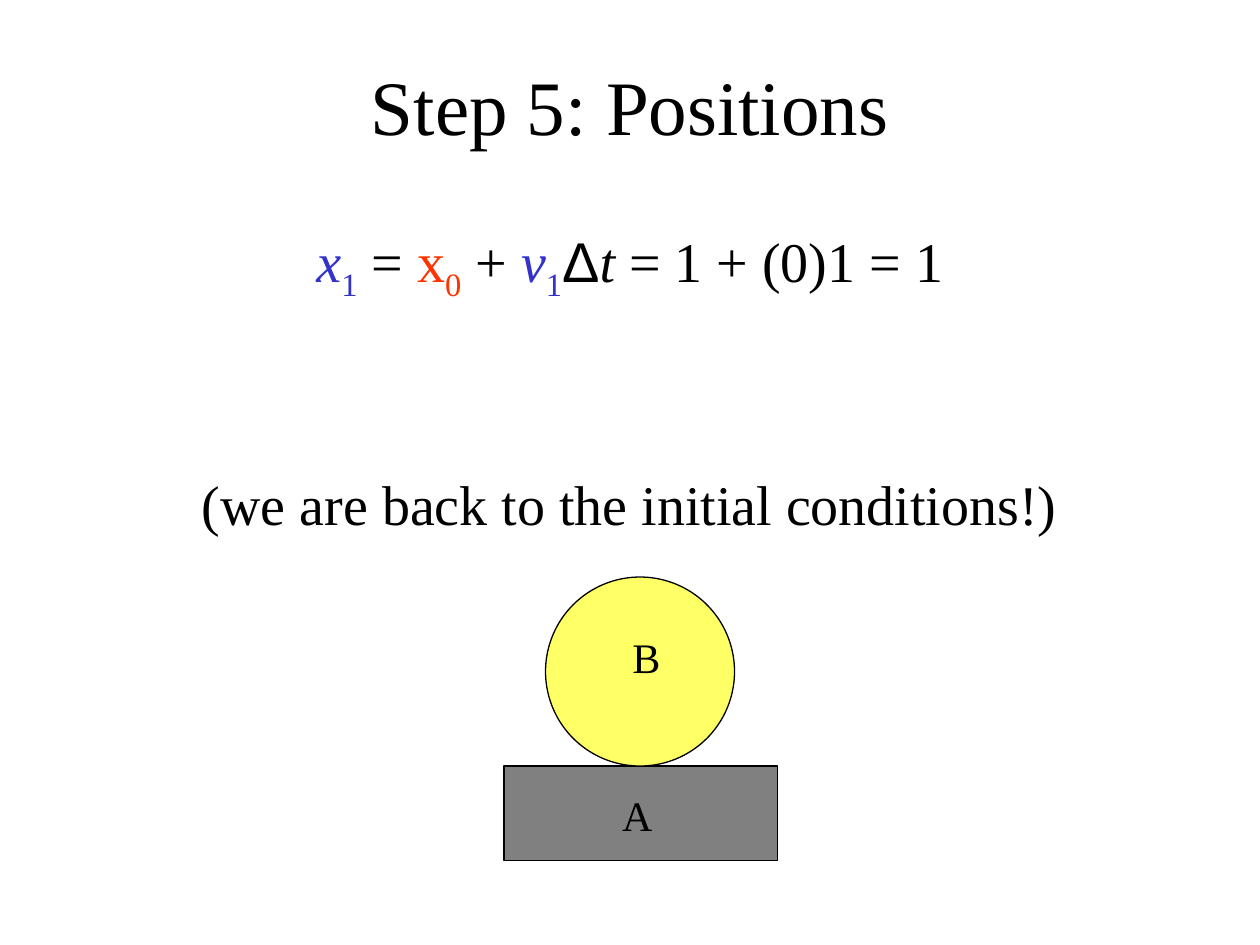
from pptx import Presentation
from pptx.dml.color import RGBColor
from pptx.enum.shapes import MSO_SHAPE
from pptx.enum.text import MSO_ANCHOR, MSO_AUTO_SIZE, PP_ALIGN
from pptx.util import Inches, Pt

CENTER = PP_ALIGN.CENTER
MIDDLE = MSO_ANCHOR.MIDDLE
NO_FIT = MSO_AUTO_SIZE.NONE
RECT, OVAL = MSO_SHAPE.RECTANGLE, MSO_SHAPE.OVAL
SERIF = "Times New Roman"
BLACK, BLUE, RED = "000000", "3333CC", "FF3300"


def color(code):
    return RGBColor.from_string(code)


def style(run, size, code=BLACK, face=SERIF):
    run.font.size = Pt(size)
    run.font.name = face
    run.font.color.rgb = color(code)


deck = Presentation()
deck.slide_width, deck.slide_height = Inches(10), Inches(7.5)
slide = deck.slides.add_slide(deck.slide_layouts[5])

# Title
title = slide.shapes.title
title.left, title.top = Inches(0.75), Inches(0.25)
title.width, title.height = Inches(8.5), Inches(1.25)
frame = title.text_frame
frame.text = "Step 5: Positions"
frame.auto_size = NO_FIT
frame.vertical_anchor = MIDDLE
head = frame.paragraphs[0]
head.alignment = CENTER
head.line_spacing = 0.93
style(head.runs[0], 44)

# Equation: text, colour, italic, subscript, font
parts = [
    ("x", BLUE, True, False, SERIF),
    ("1", BLUE, False, True, SERIF),
    (" = ", BLACK, False, False, SERIF),
    ("x", RED, False, False, SERIF),
    ("0", RED, False, True, SERIF),
    (" + ", BLACK, False, False, SERIF),
    ("v", BLUE, True, False, SERIF),
    ("1", BLUE, False, True, SERIF),
    ("Δ", BLACK, False, False, "Arial"),
    ("t", BLACK, True, False, SERIF),
    (" = 1 + (0)1 = 1", BLACK, False, False, SERIF),
]
body = slide.shapes.add_textbox(Inches(0.75), Inches(1.75), Inches(8.5), Inches(4.83))
frame = body.text_frame
frame.word_wrap = True
line = frame.paragraphs[0]
line.alignment = CENTER
line.line_spacing = 0.93
line.space_before = Pt(8)
for text, code, slant, sub, face in parts:
    run = line.add_run()
    run.text = text
    style(run, 32, code, face)
    run.font.italic = slant
    if sub:
        run.font._element.set("baseline", "-25000")

# Remark below the equation
note = frame.add_paragraph()
note.text = "(we are back to the initial conditions!)"
note.alignment = CENTER
note.space_before = Pt(98)
style(note.runs[0], 32)

# Block and ball
for kind, x, y, wide, high, fill in [
    (RECT, 4, 6.08, 2.17, 0.75, "808080"),
    (OVAL, 4.33, 4.58, 1.5, 1.5, "FFFF66"),
]:
    body = slide.shapes.add_shape(kind, Inches(x), Inches(y), Inches(wide), Inches(high))
    body.shadow.inherit = False
    body.fill.solid()
    body.fill.fore_color.rgb = color(fill)
    body.line.color.rgb = color(BLACK)
    body.line.width = Pt(0.75)

# Labels
for text, x, y, wide in [("A", 4.84, 6.25, 0.44), ("B", 4.92, 5, 0.42)]:
    label = slide.shapes.add_textbox(Inches(x), Inches(y), Inches(wide), Inches(0.48))
    frame = label.text_frame
    frame.word_wrap = False
    frame.text = text
    frame.paragraphs[0].line_spacing = 0.93
    style(frame.paragraphs[0].runs[0], 24)

deck.save("out.pptx")
